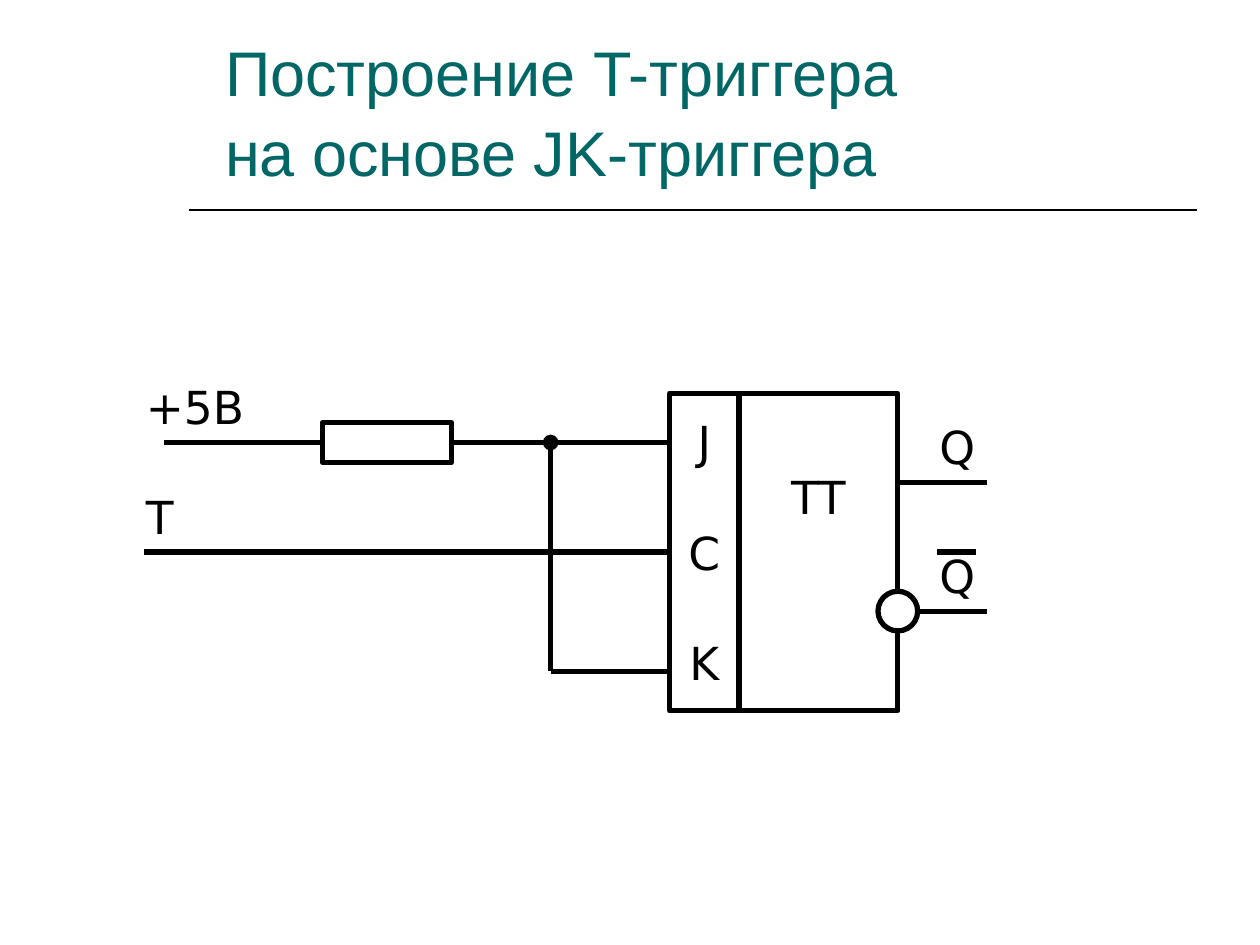
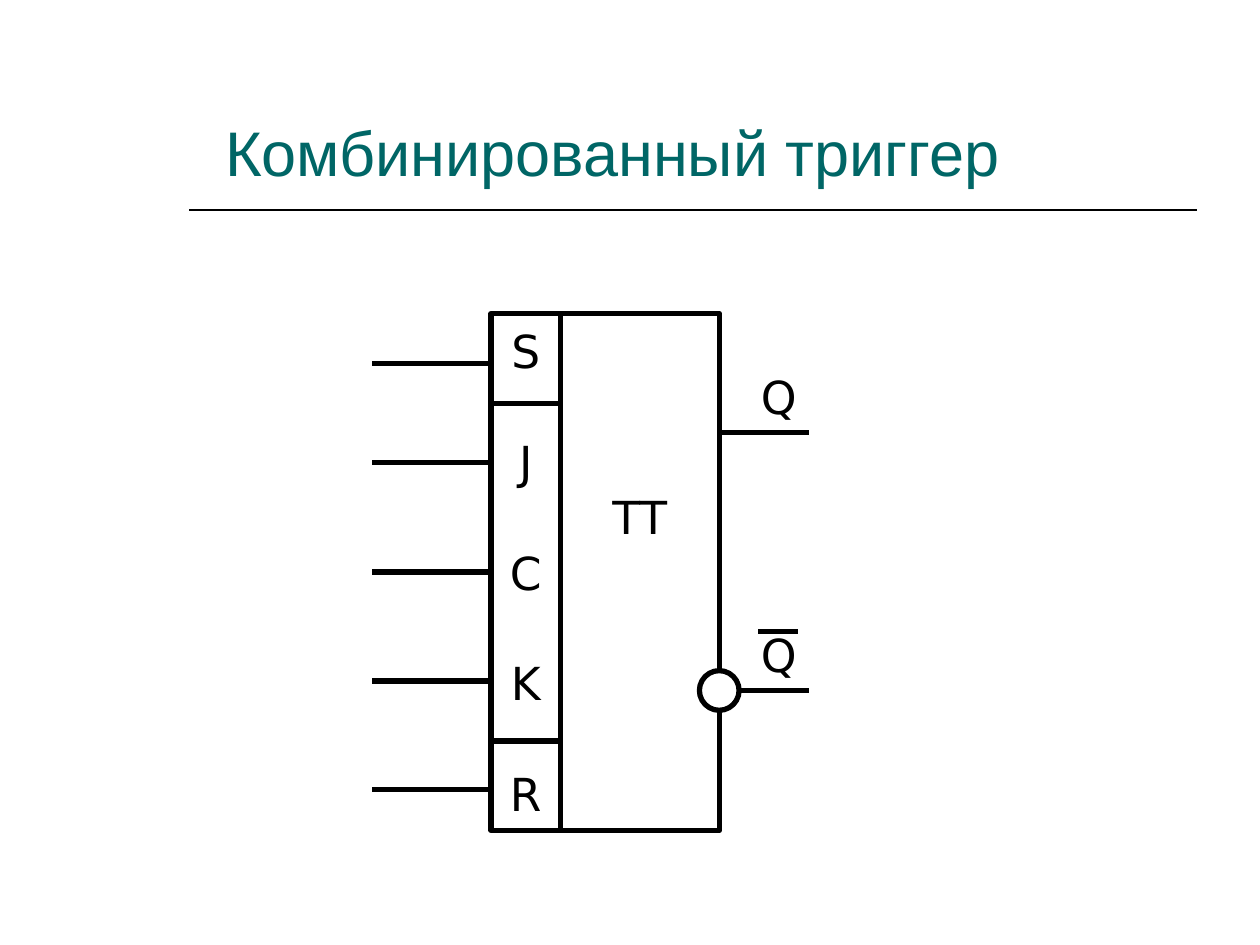
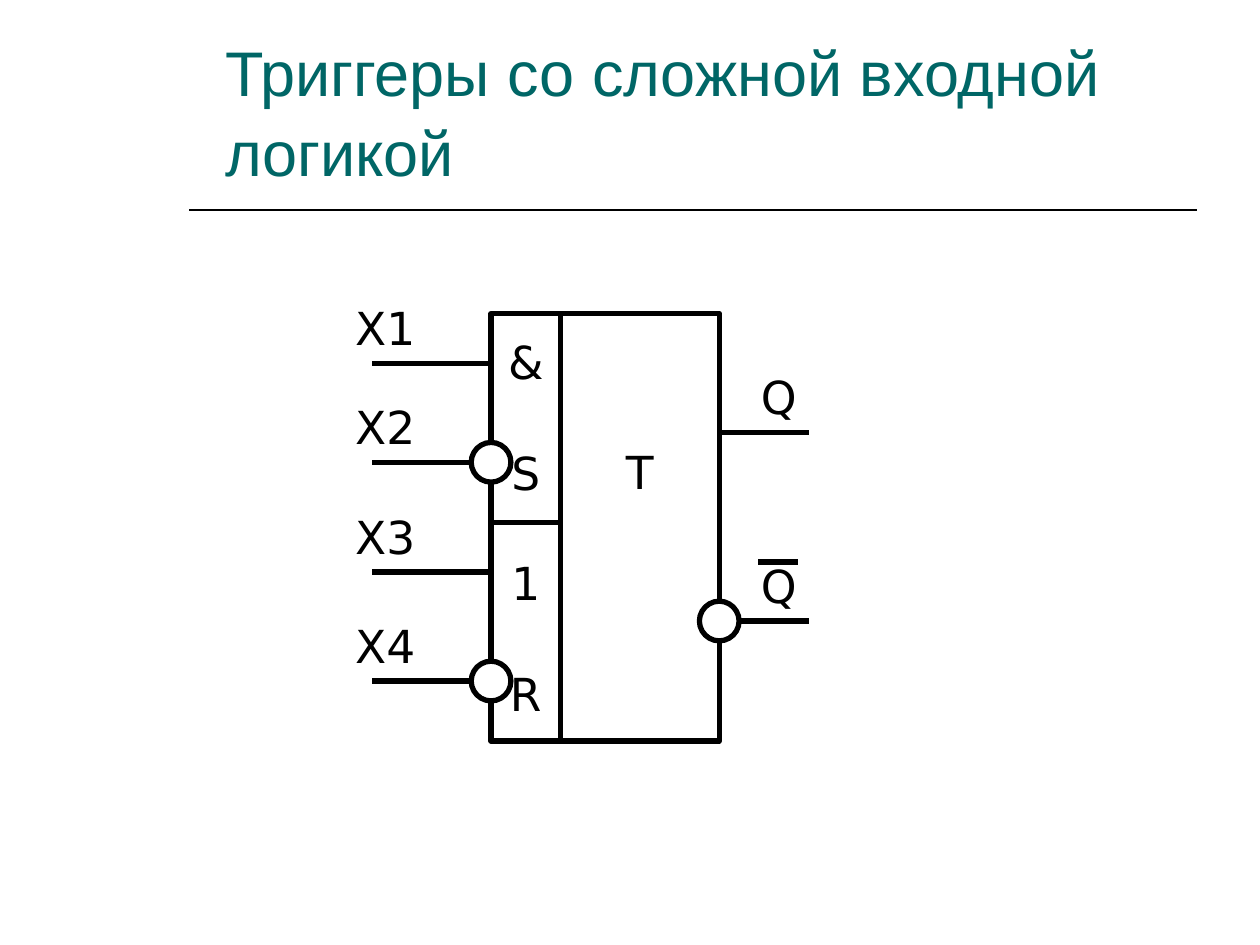
from lxml import etree
from pptx import Presentation
from pptx.dml.color import RGBColor
from pptx.enum.shapes import MSO_CONNECTOR, MSO_SHAPE
from pptx.enum.text import MSO_ANCHOR, PP_ALIGN
from pptx.oxml.ns import qn
from pptx.util import Cm, Pt

BLACK = RGBColor(0x00, 0x00, 0x00)
WHITE = RGBColor(0xFF, 0xFF, 0xFF)
TEAL = RGBColor(0x00, 0x66, 0x66)
RECT, OVAL = MSO_SHAPE.RECTANGLE, MSO_SHAPE.OVAL
STRAIGHT = MSO_CONNECTOR.STRAIGHT
TOP, MIDDLE, BOTTOM = MSO_ANCHOR.TOP, MSO_ANCHOR.MIDDLE, MSO_ANCHOR.BOTTOM
CENTER = PP_ALIGN.CENTER

# Shared measures in centimetres
PIN_W, BODY_W = 1.4, 3.2
LEAD = 1.8       # length of an output wire
BUBBLE = 0.8     # diameter of an inversion mark
RISE = 1.4       # label top above its wire


class Deck:
    title_font, title_size = "Arial", Pt(36)
    font, size = "DejaVu Sans", Pt(26)
    stroke = Pt(3)

    def __init__(self):
        self.prs = Presentation()
        self.prs.slide_width, self.prs.slide_height = Cm(25.4), Cm(19.05)
        self.shapes = None

    def page(self, *lines):
        """Start a slide with a title and the rule below it."""
        self.shapes = self.prs.slides.add_slide(self.prs.slide_layouts[6]).shapes
        self.wire(3.81, 4.24, 24.13, 4.24, width=Pt(1))
        box = self.shapes.add_textbox(Cm(4.29), Cm(0.2), Cm(19.91), Cm(3.73))
        box.text_frame.word_wrap = True
        box.text_frame.vertical_anchor = BOTTOM
        para = box.text_frame.paragraphs[0]
        para.line_spacing = 1.05
        for i, line in enumerate(lines):
            if i:
                para.add_line_break()
            self.run(para, line, self.title_font, self.title_size, TEAL)

    def run(self, para, text, font=font, size=size, color=BLACK):
        run = para.add_run()
        run.text = text
        run.font.name, run.font.size = font, size
        run.font.color.rgb = color

    def wire(self, x1, y1, x2, y2, width=stroke, dot=False):
        line = self.shapes.add_connector(STRAIGHT, Cm(x1), Cm(y1), Cm(x2), Cm(y2))
        line.line.color.rgb = BLACK
        line.line.width = width
        if dot:
            etree.SubElement(line.line._get_or_add_ln(), qn("a:tailEnd"), type="oval")
        etree.SubElement(line._element.spPr, qn("a:effectLst"))

    def shape(self, kind, x, y, w, h):
        item = self.shapes.add_shape(kind, Cm(x), Cm(y), Cm(w), Cm(h))
        item.shadow.inherit = False
        item.fill.solid()
        item.fill.fore_color.rgb = WHITE
        item.line.color.rgb = BLACK
        item.line.width = self.stroke
        return item

    def column(self, x, y, w, h, texts):
        """Draw a framed column of centred, evenly spaced marks."""
        frame = self.shape(RECT, x, y, w, h).text_frame
        frame.word_wrap = False
        frame.vertical_anchor = MIDDLE
        for i, text in enumerate(texts):
            para = frame.add_paragraph() if i else frame.paragraphs[0]
            para.alignment = CENTER
            if i:
                para.space_before = Pt(32)
            self.run(para, text)
        return frame

    def label(self, text, x, wire_y, w=LEAD):
        box = self.shapes.add_textbox(Cm(x), Cm(wire_y - RISE), Cm(w), Cm(1.37))
        box.text_frame.word_wrap = True
        box.text_frame.vertical_anchor = TOP
        self.run(box.text_frame.paragraphs[0], text)

    def bubble(self, x, y):
        self.shape(OVAL, x - BUBBLE / 2, y - BUBBLE / 2, BUBBLE, BUBBLE)

    def chip(self, x, y, h, pins, name, direct, inverse):
        """Draw a flip-flop with its direct and inverse outputs."""
        self.column(x, y, PIN_W, h, pins)
        body = self.column(x + PIN_W, y, BODY_W, h, [name])
        body.margin_bottom = Cm(2.38)
        edge = x + PIN_W + BODY_W
        for out in (direct, inverse):
            self.wire(edge, out, edge + LEAD, out)
            self.label("Q", edge + 0.59, out)
        self.bubble(edge, inverse)
        self.wire(edge + 0.79, inverse - 1.19, edge + 1.58, inverse - 1.19)


def main():
    deck = Deck()

    # T flip-flop made from a JK flip-flop
    deck.page("Построение T-триггера ", "на основе JK-триггера")
    chip_x, node_x = 13.5, 11.1
    j_y, c_y, k_y = 8.92, 11.13, 13.53
    deck.chip(chip_x, 7.93, 6.4, "JСK", "TT", 9.73, 12.32)
    deck.label("+5В", 2.69, j_y, 3.6)
    deck.label("T", 2.69, c_y)
    deck.wire(9.1, j_y, chip_x, j_y)
    deck.wire(2.9, c_y, chip_x, c_y)
    deck.wire(node_x, k_y, chip_x, k_y)
    deck.wire(node_x, k_y, node_x, j_y, dot=True)
    deck.shape(RECT, 6.5, j_y - 0.4, 2.6, 0.8)
    deck.wire(3.3, j_y, 6.5, j_y)

    # Inputs shared by the next two chips
    chip_x, chip_y, wire_x = 9.9, 6.32, 7.5
    rows = [7.33, 9.32, 11.53, 13.73, 15.92]

    # Combined flip-flop
    deck.page("Комбинированный триггер")
    deck.chip(chip_x, chip_y, 10.42, "SJСKR", "TT", 8.72, 13.92)
    for y in rows:
        deck.wire(wire_x, y, chip_x, y)
    for y in (8.13, 14.94):
        deck.wire(chip_x, y, chip_x + PIN_W, y)

    # Flip-flop with input logic
    deck.page("Триггеры со сложной входной логикой")
    deck.chip(chip_x, chip_y, 8.62, "&S1R", "T", 8.72, 12.52)
    deck.wire(chip_x, 10.53, chip_x + PIN_W, 10.53)
    for i, y in enumerate(rows[:4], 1):
        deck.wire(wire_x, y, chip_x, y)
        deck.label(f"X{i}", 6.91, y)
        if i % 2 == 0:
            deck.bubble(chip_x, y)

    deck.prs.save("out.pptx")


if __name__ == "__main__":
    main()
